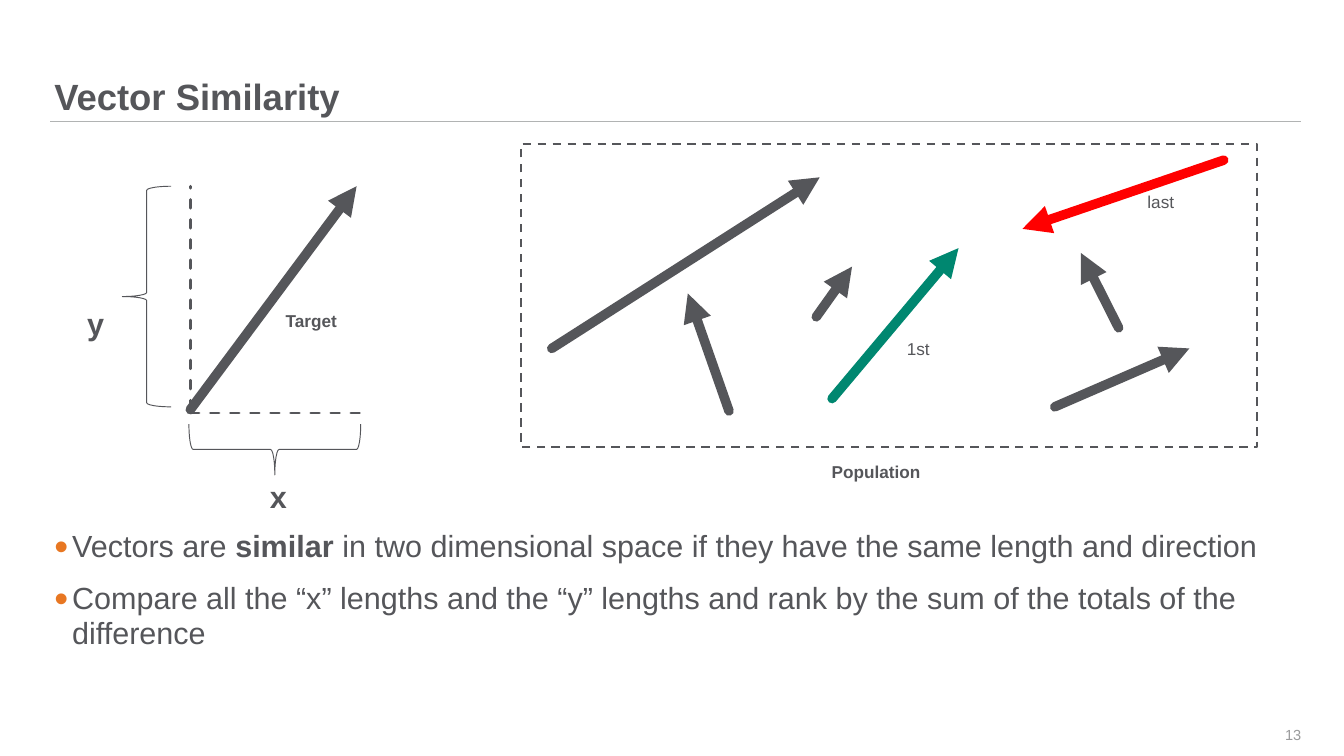
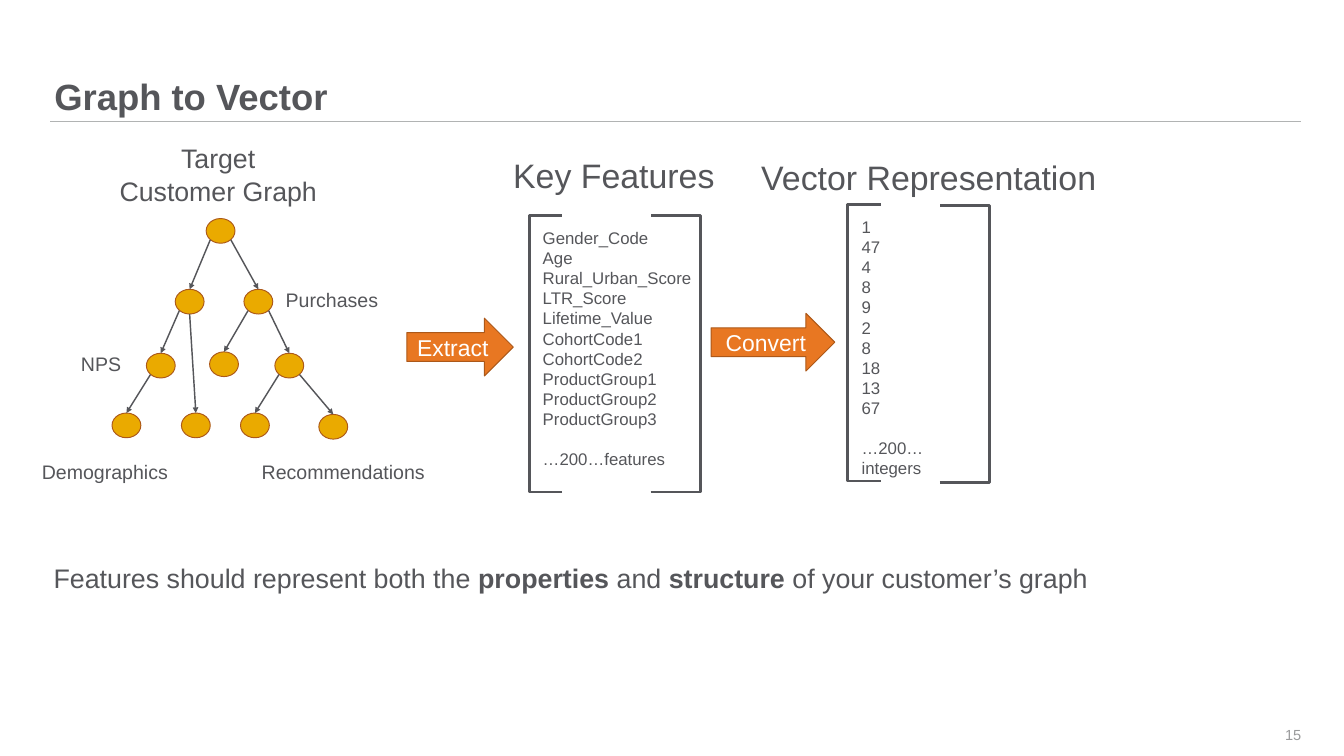
from lxml import etree
from pptx import Presentation
from pptx.dml.color import RGBColor
from pptx.enum.dml import MSO_LINE as Dash
from pptx.enum.shapes import MSO_CONNECTOR as Conn, MSO_SHAPE as Kind
from pptx.enum.text import MSO_ANCHOR as Anchor, MSO_AUTO_SIZE as Fit, PP_ALIGN as Align
from pptx.oxml.ns import qn
from pptx.util import Emu, Pt

GREY = RGBColor(0x55, 0x56, 0x5A)
PALE = RGBColor(0x99, 0x9A, 0x9B)
RULE = RGBColor(0xB1, 0xB3, 0xB3)
ORANGE = RGBColor(0xE8, 0x77, 0x22)
RUST = RGBColor(0xAC, 0x58, 0x19)
GOLD = RGBColor(0xEA, 0xAA, 0x00)
GREEN = RGBColor(0x00, 0x87, 0x70)
RED = RGBColor(0xFF, 0x00, 0x00)
WHITE = RGBColor(0xFF, 0xFF, 0xFF)
FONT = "Arial"
SCALE = 9144
FLUSH = dict.fromkeys(
    ("margin_left", "margin_top", "margin_right", "margin_bottom"), 0)


def px(*nums):
    return [Emu(n * SCALE) for n in nums]


def put(item, fmt):
    for key, val in fmt.items():
        setattr(item, key, val)


def add(node, tag, **attrs):
    return etree.SubElement(node, qn(tag), attrs)


class Deck:
    def __init__(self, wide, high):
        self.prs = Presentation()
        put(self.prs, dict(zip(("slide_width", "slide_height"), px(wide, high))))
        self.slide = None

    def page(self, title, num):
        self.slide = self.prs.slides.add_slide(self.prs.slide_layouts[5])
        self.line((73, 177), (1894, 177), RULE, 1)
        head = self.slide.shapes.title
        put(head, dict(zip(("left", "top", "width", "height"), px(79, 0, 1815, 172))))
        put(head.text_frame, dict(FLUSH, vertical_anchor=Anchor.BOTTOM,
                                  word_wrap=True, auto_size=Fit.NONE))
        self.words(head.text_frame, [title], 38.2, bold=True,
                   para={"alignment": Align.LEFT, "line_spacing": 0.9})
        self.text((1807, 1040, 87, 59), [str(num)], 15.3, PALE,
                  frame=dict(FLUSH, vertical_anchor=Anchor.MIDDLE),
                  para={"alignment": Align.RIGHT})

    def words(self, frame, lines, size, color=GREY, bold=False, para={}):
        for i, text in enumerate(lines):
            par = frame.add_paragraph() if i else frame.paragraphs[0]
            put(par, para)
            for j, part in enumerate(text.split("*")):
                run = par.add_run()
                run.text = part
                put(run.font, {"name": FONT, "size": Pt(size), "bold": bold or j % 2 == 1})
                run.font.color.rgb = color

    def text(self, box, lines, size, color=GREY, bold=False, frame={}, para={}):
        body = self.slide.shapes.add_textbox(*px(*box)).text_frame
        put(body, {"word_wrap": True, **frame})
        self.words(body, lines, size, color, bold, para)
        return body

    def label(self, box, lines, size, bold=False, wrap=False, align=Align.LEFT):
        return self.text(box, lines, size, bold=bold, para={"alignment": align},
                         frame={"word_wrap": wrap, "auto_size": Fit.SHAPE_TO_FIT_TEXT})

    def body(self, box, lines, size, dots=False):
        body = self.text(box, lines, size, frame=FLUSH, para={
            "line_spacing": 0.95, "space_before": Pt(10.2), "space_after": Pt(7.7)})
        for par in body.paragraphs if dots else ():
            prop = par._p.get_or_add_pPr()
            inset = 26 * SCALE
            prop.set("marL", str(inset))
            prop.set("indent", str(-inset))
            add(add(prop, "a:buClr"), "a:srgbClr", val=str(ORANGE))
            add(prop, "a:buSzPct", val="130000")
            add(prop, "a:buFont", typeface=FONT)
            add(prop, "a:buChar", char="•")

    def line(self, start, end, color=GREY, width=10, dash=None, tip=False, cap="flat", goal=None):
        link = self.slide.shapes.add_connector(Conn.STRAIGHT, *px(*start, *end))
        if goal is not None:
            link.end_connect(goal, 0)
        link.line.color.rgb = color
        put(link.line, {"width": Pt(width), "dash_style": dash})
        props = link.element.spPr
        stroke = props.find(qn("a:ln"))
        stroke.set("cap", cap)
        if tip:
            add(stroke, "a:tailEnd", type="triangle")
        add(props, "a:effectLst")

    def shape(self, kind, box, fill=None, edge=GREY, width=1, dash=None, turn=0):
        item = self.slide.shapes.add_shape(kind, *px(*box))
        item.shadow.inherit = False
        item.rotation = turn
        if fill is None:
            item.fill.background()
        else:
            item.fill.solid()
            item.fill.fore_color.rgb = fill
        item.line.color.rgb = edge
        put(item.line, {"width": Pt(width), "dash_style": dash})
        return item

    def arrow(self, box, text):
        item = self.shape(Kind.RIGHT_ARROW, box, ORANGE, RUST)
        put(item.text_frame, {"word_wrap": True, "vertical_anchor": Anchor.MIDDLE})
        self.words(item.text_frame, [text], 24, WHITE, para={"alignment": Align.CENTER})

    def bracket(self, box, flip=False):
        item = self.shape(Kind.LEFT_BRACKET, box, width=3)
        item.adjustments[0] = 0
        if flip:
            item.element.spPr.xfrm.set("flipH", "1")

    def column(self, box, lines):
        body = self.label(box, lines, 17.6, wrap=True)
        body.paragraphs[-1].space_before = Pt(20.2)

    def tree(self, nodes):
        made = []
        for x, y, root in nodes:
            made.append(self.shape(Kind.OVAL, (x, y, 42, 36), GOLD, RUST))
            if root is None:
                continue
            left, top, _ = nodes[root]
            shift = x - left
            dx, dy = (21, 36) if abs(shift) < 20 else (6 if shift < 0 else 36, 31)
            self.line((left + dx, top + dy), (x + 21, y), width=1.5, tip=True, goal=made[-1])


def vectors(deck):
    deck.page("Vector Similarity", 13)
    deck.body((79, 771, 1815, 177), [
        "Vectors are *similar* in two dimensional space if they have the same length and direction",
        "Compare all the “x” lengths and the “y” lengths and rank by the sum of the totals "
        "of the difference"], 32, dots=True)
    for start, end, color in (
            ((277, 596), (519, 271), GREY),
            ((803, 507), (1193, 258), GREY),
            ((1061, 598), (1001, 427), GREY),
            ((1211, 580), (1395, 361), GREEN),
            ((1535, 592), (1731, 507), GREY),
            ((1781, 233), (1488, 333), RED),
            ((1188, 461), (1240, 388), GREY),
            ((1628, 477), (1573, 368), GREY)):
        deck.line(start, end, color, tip=True, cap="rnd")
    for start, end in (((277, 601), (537, 601)), ((277, 595), (277, 271))):
        deck.line(start, end, width=3, dash=Dash.DASH, cap="rnd")
    for x, y, name in ((117, 439, "y"), (383, 691, "x")):
        deck.label((x, y, 45, 64), [name], 32, bold=True)
    deck.shape(Kind.RECTANGLE, (758, 210, 1072, 441), width=2.25, dash=Dash.DASH)
    deck.shape(Kind.LEFT_BRACE, (178, 271, 71, 321))
    deck.shape(Kind.LEFT_BRACE, (363, 529, 74, 250), turn=270)
    for box, name in (((1154, 667, 242, 40), "Population"), ((374, 447, 158, 40), "Target")):
        deck.label(box, [name], 18, bold=True, wrap=True, align=Align.CENTER)
    for box, name in (((1310, 487, 54, 40), "1st"), ((1660, 274, 59, 40), "last")):
        deck.label(box, [name], 18)


def graph(deck):
    deck.page("Graph to Vector", 15)
    deck.body((78, 821, 1815, 131), [
        "Features should represent both the *properties* and *structure* "
        "of your customer’s graph"], 28.1)
    deck.label((162, 202, 311, 104), ["Target", "Customer Graph"], 28, align=Align.CENTER)
    deck.tree([
        (300, 318, None), (255, 421, 0), (355, 421, 0), (213, 514, 1), (163, 601, 3),
        (264, 601, 1), (400, 514, 2), (350, 601, 6), (464, 603, 6), (305, 512, 2)])
    for box, name in (
            ((406, 414, 156, 45), "Purchases"),
            ((51, 664, 205, 45), "Demographics"),
            ((108, 507, 80, 45), "NPS"),
            ((371, 664, 260, 45), "Recommendations")):
        deck.label(box, [name], 20.5)
    for x, y, flip in ((770, 313, False), (947, 313, True),
                       (1234, 297, False), (1368, 299, True)):
        deck.bracket((x, y, 72 if flip else 48, 403), flip)
    for box, name in (((737, 220, 316, 70), "Key Features"),
                      ((1098, 223, 513, 70), "Vector Representation")):
        deck.label(box, [name], 35.5)
    deck.column((780, 326, 238, 395), [
        "Gender_Code", "Age", "Rural_Urban_Score", "LTR_Score", "Lifetime_Value",
        "CohortCode1", "CohortCode2", "ProductGroup1", "ProductGroup2", "ProductGroup3",
        "…200…features"])
    deck.column((1244, 310, 196, 395), [
        "1", "47", "4", "8", "9", "2", "8", "18", "13", "67", "…200…integers"])
    deck.arrow((592, 463, 155, 84), "Extract")
    deck.arrow((1035, 456, 180, 84), "Convert")


def main():
    deck = Deck(1956, 1100)
    vectors(deck)
    graph(deck)
    deck.prs.save("out.pptx")


if __name__ == "__main__":
    main()
